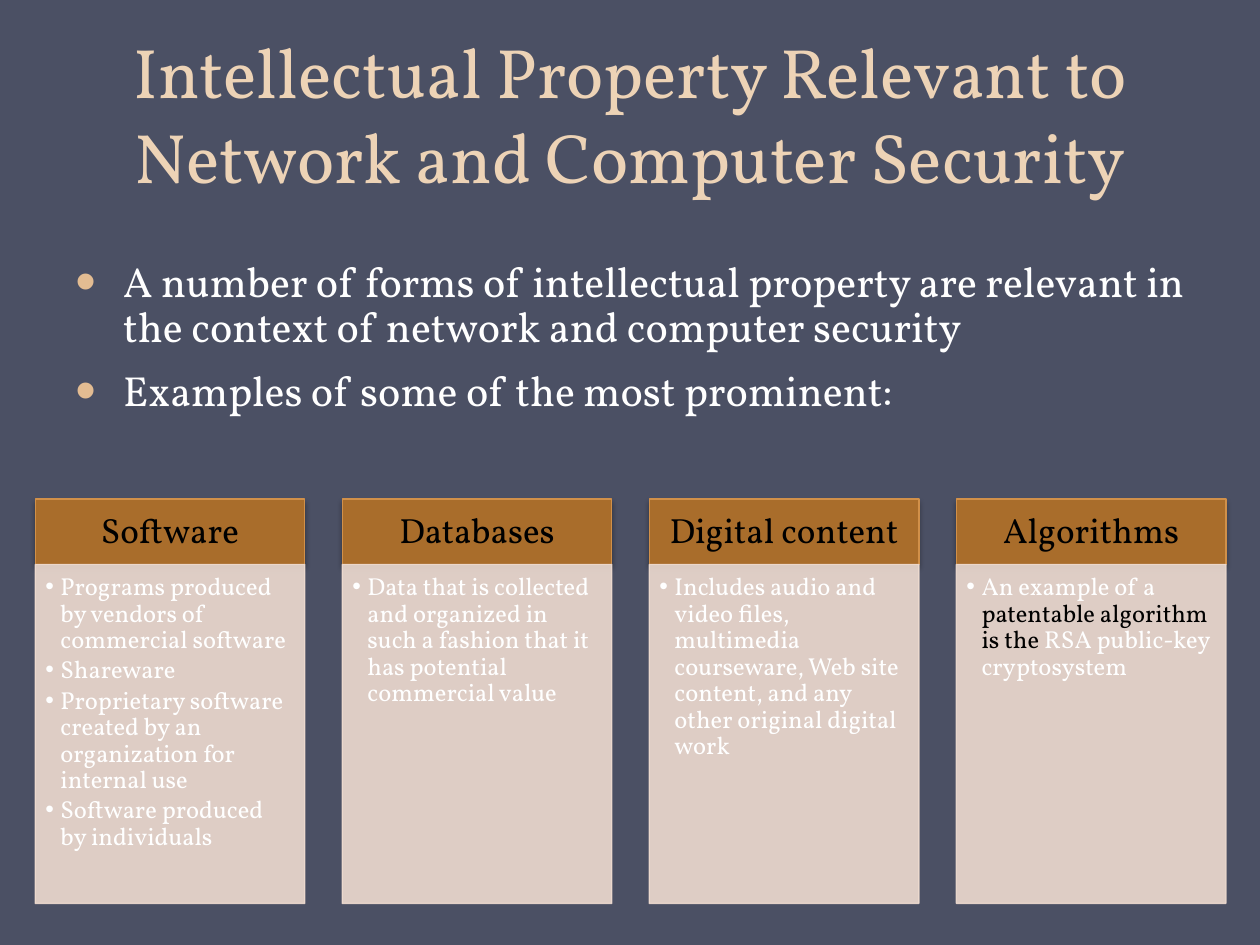
from lxml import etree
from pptx import Presentation
from pptx.dml.color import RGBColor
from pptx.enum import shapes, text
from pptx.oxml import ns
from pptx.util import Inches, Pt

FONT = "Vollkorn"
SLATE = RGBColor(0x4B, 0x50, 0x64)
SAND = RGBColor(0xED, 0xD3, 0xB6)
PEACH = RGBColor(0xE3, 0xBC, 0x92)
BROWN = RGBColor(0xA9, 0x6D, 0x2B)
ORANGE = RGBColor(0xD1, 0x90, 0x49)
BLUSH = RGBColor(0xEE, 0xDB, 0xD0)
WHITE = RGBColor(0xFF, 0xFF, 0xFF)
BLACK = RGBColor(0, 0, 0)

TITLE = "Intellectual Property Relevant to Network and Computer Security"
POINTS = [
    "A number of forms of intellectual property are relevant in the context "
    "of network and computer security",
    "Examples of some of the most prominent:",
]
CARDS = [
    ("Software", [
        "Programs produced by vendors of commercial software",
        "Shareware",
        "Proprietary software created by an organization for internal use",
        "Software produced by individuals",
    ]),
    ("Databases", [
        "Data that is collected and organized in such a fashion that it has "
        "potential commercial value",
    ]),
    ("Digital content", [
        "Includes audio and video files, multimedia courseware, Web site "
        "content, and any other original digital work",
    ]),
    ("Algorithms", [
        [("An example of a ", WHITE),
         ("patentable algorithm is the ", BLACK),
         ("RSA public-key cryptosystem", WHITE)],
    ]),
]


def add_element(parent, tag, **attributes):
    element = etree.SubElement(parent, ns.qn(tag))
    for name, value in attributes.items():
        element.set(name, str(value))
    return element


def add_bullet(paragraph, indent, color=None, percent=None):
    properties = paragraph._p.get_or_add_pPr()
    properties.set("marL", str(Inches(indent)))
    properties.set("indent", str(-Inches(indent)))
    if color is not None:
        add_element(add_element(properties, "a:buClr"), "a:srgbClr", val=color)
    if percent:
        add_element(properties, "a:buSzPct", val=percent * 1000)
    add_element(properties, "a:buFont", typeface="Arial")
    add_element(properties, "a:buChar", char="•")


def write_text(shape, paragraphs, size, color, align=text.PP_ALIGN.LEFT,
               anchor=text.MSO_ANCHOR.TOP, insets=(0.1, 0.05, 0.1, 0.05),
               line_spacing=0.9, before=0, after=0, bullet=None):
    frame = shape.text_frame
    frame.word_wrap = True
    frame.vertical_anchor = anchor
    (frame.margin_left, frame.margin_top,
     frame.margin_right, frame.margin_bottom) = map(Inches, insets)
    for index, content in enumerate(paragraphs):
        paragraph = frame.add_paragraph() if index else frame.paragraphs[0]
        if bullet:
            add_bullet(paragraph, **bullet)
        paragraph.alignment = align
        paragraph.line_spacing = line_spacing
        paragraph.space_before = Pt(before if index else 0)
        paragraph.space_after = Pt(after)
        runs = [(content, color)] if isinstance(content, str) else content
        for words, run_color in runs:
            run = paragraph.add_run()
            run.text = words
            run.font.name = FONT
            run.font.size = Pt(size)
            run.font.color.rgb = run_color


def add_panel(slide, box, fill, line):
    panel = slide.shapes.add_shape(shapes.MSO_SHAPE.RECTANGLE, *map(Inches, box))
    panel.shadow.inherit = False
    panel.fill.solid()
    panel.fill.fore_color.rgb = fill
    panel.line.color.rgb = line
    panel.line.width = Pt(0.75)
    return panel


def drop_shadow(shape):
    effects = shape._element.spPr.find(ns.qn("a:effectLst"))
    shadow = add_element(effects, "a:outerShdw", blurRad=Pt(3.1), dist=Pt(1.8),
                         dir=90 * 60000, rotWithShape=0)
    color = add_element(shadow, "a:srgbClr", val=BLACK)
    add_element(color, "a:alpha", val=35000)


def set_opacity(shape, percent):
    properties = shape._element.spPr
    for route in ("a:solidFill/a:srgbClr", "a:ln/a:solidFill/a:srgbClr"):
        color = properties.find(route, {"a": ns.namespaces("a")["a"]})
        add_element(color, "a:alpha", val=percent * 1000)


def add_title(slide, box):
    title = slide.shapes.add_textbox(*map(Inches, box))
    write_text(title, [TITLE], 40, SAND, align=text.PP_ALIGN.CENTER,
               anchor=text.MSO_ANCHOR.BOTTOM, line_spacing=Pt(49))


def add_points(slide, box):
    points = slide.shapes.add_textbox(*map(Inches, box))
    write_text(points, POINTS, 24, WHITE, before=4.8, after=6,
               bullet={"indent": 0.38, "color": PEACH, "percent": 140})


def add_card(slide, box, heading, items):
    left, top, width, height = box
    header_height = 0.52
    header = add_panel(slide, (left, top, width, header_height), BROWN, ORANGE)
    drop_shadow(header)
    write_text(header, [heading], 20, BLACK, align=text.PP_ALIGN.CENTER,
               anchor=text.MSO_ANCHOR.MIDDLE, insets=(0.16, 0.09, 0.16, 0.09))
    body = add_panel(slide, (left, top + header_height, width,
                             height - header_height), BLUSH, BLUSH)
    set_opacity(body, 90)
    write_text(body, items, 14, WHITE, insets=(0.08, 0.08, 0.11, 0.12),
               after=2.1, bullet={"indent": 0.12})


def add_cards(slide, box):
    left, top, width, height = box
    card_width = 2.14
    step = (width - card_width) / (len(CARDS) - 1)
    for index, (heading, items) in enumerate(CARDS):
        add_card(slide, (left + index * step, top, card_width, height),
                 heading, items)


def main():
    presentation = Presentation()
    presentation.slide_width = Inches(10)
    presentation.slide_height = Inches(7.5)
    slide = presentation.slides.add_slide(presentation.slide_layouts[6])
    slide.background.fill.solid()
    slide.background.fill.fore_color.rgb = SLATE
    add_title(slide, (0, -0.35, 10, 1.97))
    add_points(slide, (0.5, 2.02, 9, 4.68))
    add_cards(slide, (0.28, 3.96, 9.45, 3.21))
    presentation.save("out.pptx")


if __name__ == "__main__":
    main()
